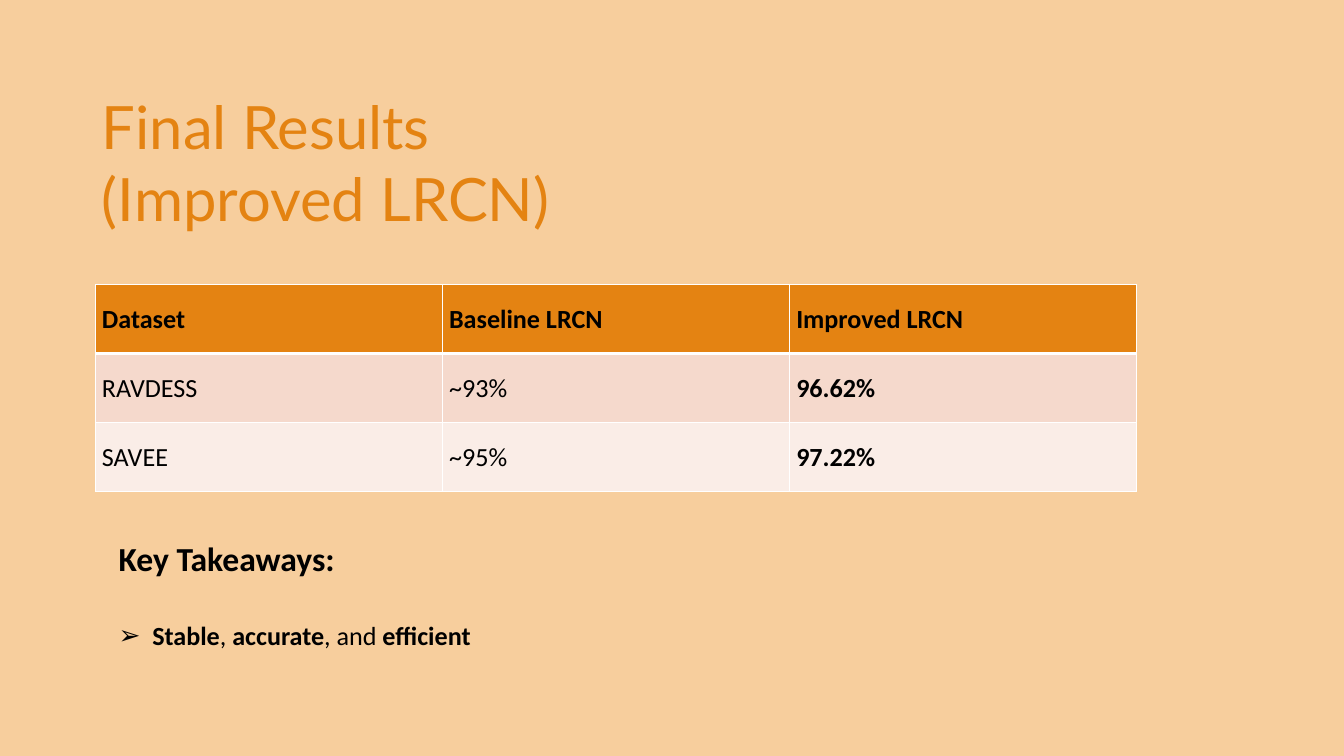
from lxml.etree import SubElement
from pptx import Presentation
from pptx.dml.color import RGBColor
from pptx.enum.text import MSO_ANCHOR, MSO_AUTO_SIZE, PP_ALIGN
from pptx.oxml.ns import qn
from pptx.util import Pt

COLORS = {
    "background": "F7CE9D",
    "accent": "E48312",
    "text": "000000",
    "border": "FFFFFF",
    "odd_row": "F5D9CC",
    "even_row": "FAEDE7",
}
RESULTS = [
    ("Dataset", "Baseline LRCN", "Improved LRCN"),
    ("RAVDESS", "~93%", "96.62%"),
    ("SAVEE", "~95%", "97.22%"),
]
TAKEAWAY = [("Stable", True), (", ", False), ("accurate", True),
            (", and ", False), ("efficient", True)]


def rgb(name):
    return RGBColor.from_string(COLORS[name])


def style_run(run, size, font="Calibri", color="text", bold=False):
    run.font.size = Pt(size)
    run.font.name = font
    run.font.bold = bold
    run.font.color.rgb = rgb(color)


def place(placeholder, left, top, width, height):
    """Position a placeholder and give its text top-left flow."""
    placeholder.left, placeholder.top = Pt(left), Pt(top)
    placeholder.width, placeholder.height = Pt(width), Pt(height)
    frame = placeholder.text_frame
    frame.word_wrap = True
    frame.auto_size = MSO_AUTO_SIZE.SHAPE_TO_FIT_TEXT
    frame.vertical_anchor = MSO_ANCHOR.TOP
    return frame


def set_bullet(paragraph, char=None, indent=0):
    """Set a hanging bullet, or remove the inherited one."""
    props = paragraph._p.get_or_add_pPr()
    props.set("marL", str(Pt(indent)))
    props.set("indent", str(-Pt(indent)))
    if char:
        SubElement(props, qn("a:buFont"), typeface="Arial")
        SubElement(props, qn("a:buChar"), char=char)
    else:
        SubElement(props, qn("a:buNone"))


def set_border(cell, side, width):
    line = SubElement(cell._tc.get_or_add_tcPr(), qn(f"a:ln{side}"), w=str(Pt(width)))
    fill = SubElement(line, qn("a:solidFill"))
    SubElement(fill, qn("a:srgbClr"), val=COLORS["border"])


def add_title(slide, left, top, width, height):
    frame = place(slide.shapes.title, left, top, width, height)
    frame.text = "Final Results\n(Improved LRCN)"
    for paragraph in frame.paragraphs:
        paragraph.alignment = PP_ALIGN.LEFT
        style_run(paragraph.runs[0], 64, font="Lato", color="accent")


def add_results(slide, left, top, width, height):
    table = slide.shapes.add_table(
        len(RESULTS), len(RESULTS[0]), Pt(left), Pt(top), Pt(width), Pt(height)).table
    row_fills = ("accent", "odd_row", "even_row")
    for row, values in enumerate(RESULTS):
        for col, value in enumerate(values):
            cell = table.cell(row, col)
            cell.text = value
            cell.vertical_anchor = MSO_ANCHOR.MIDDLE
            is_best = col == len(values) - 1
            style_run(cell.text_frame.paragraphs[0].runs[0], 28, bold=row == 0 or is_best)
            set_border(cell, "L", 1)
            set_border(cell, "R", 1)
            set_border(cell, "T", 3 if row == 1 else 1)
            set_border(cell, "B", 3 if row == 0 else 1)
            cell.fill.solid()
            cell.fill.fore_color.rgb = rgb(row_fills[row])


def add_takeaways(slide, left, top, width, height):
    frame = place(slide.placeholders[1], left, top, width, height)
    frame.text = "Key Takeaways:"
    heading = frame.paragraphs[0]
    heading.space_before = Pt(0)
    set_bullet(heading)
    style_run(heading.runs[0], 36, bold=True)

    point = frame.add_paragraph()
    point.space_before = Pt(44)
    set_bullet(point, "➢", indent=36)
    for words, bold in TAKEAWAY:
        run = point.add_run()
        run.text = words
        style_run(run, 28, bold=bold)


def main():
    deck = Presentation()
    deck.slide_width, deck.slide_height = Pt(1440), Pt(810)
    slide = deck.slides.add_slide(deck.slide_layouts[1])
    slide.background.fill.solid()
    slide.background.fill.fore_color.rgb = rgb("background")
    add_title(slide, 102, 93, 756, 163)
    add_results(slide, 102, 305, 1116, 222)
    add_takeaways(slide, 120, 573, 828, 128)
    deck.save("out.pptx")


if __name__ == "__main__":
    main()
